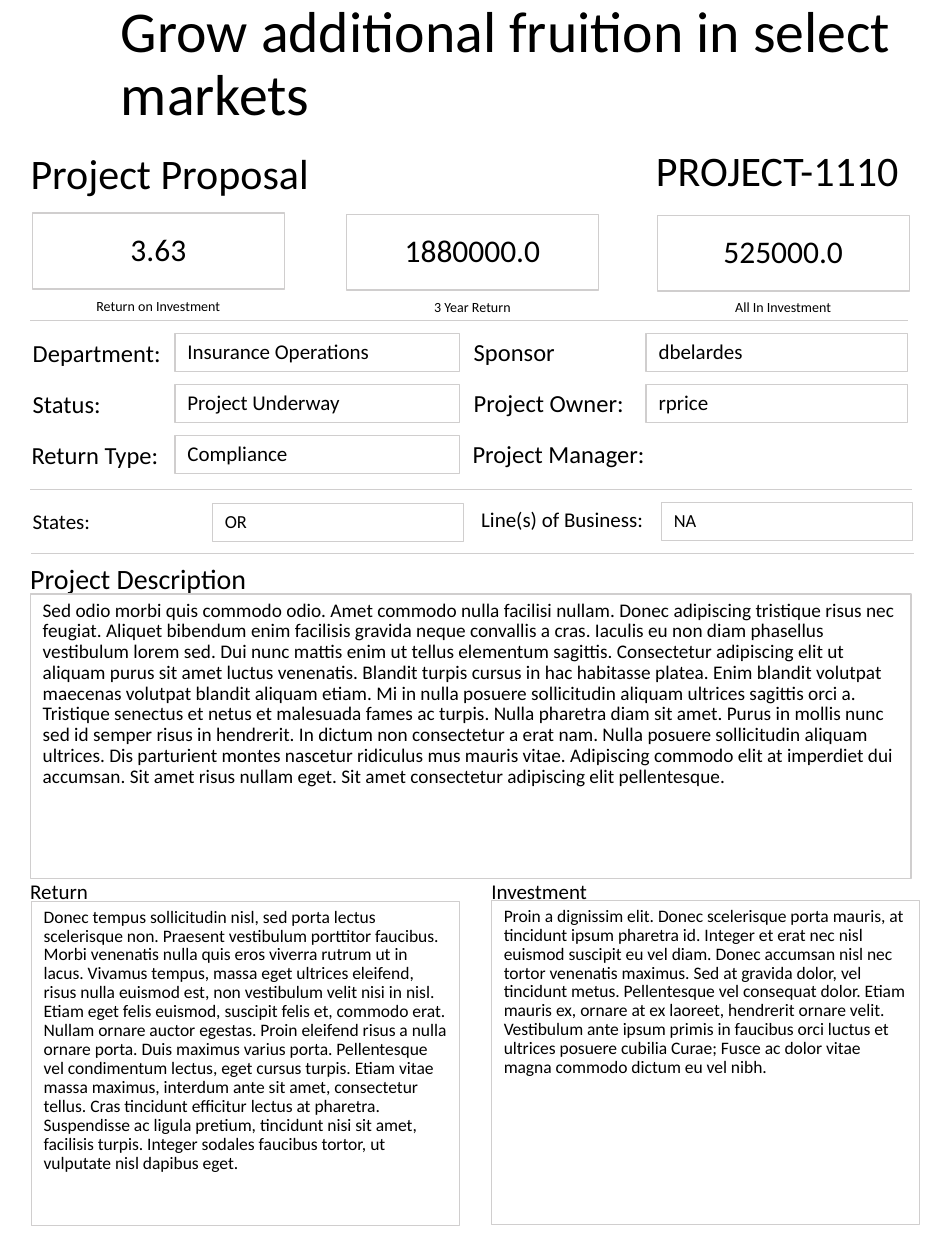
"""Build a one-page project proposal form."""
from dataclasses import dataclass

import lxml.etree
import pptx
import pptx.dml.color
import pptx.enum.shapes
import pptx.enum.text
import pptx.oxml.ns
import pptx.slide
import pptx.text.text
import pptx.util

Pt = pptx.util.Pt
Align = pptx.enum.text.PP_ALIGN
Anchor = pptx.enum.text.MSO_ANCHOR
BLACK = pptx.dml.color.RGBColor(0, 0, 0)
BORDER = pptx.dml.color.RGBColor(0xD0, 0xCE, 0xCE)
FONT = "Calibri"
INSET_X, INSET_Y = 7.2, 3.6

DESCRIPTION = [
    "Sed odio morbi quis commodo odio. Amet commodo nulla facilisi nullam. Donec adipiscing",
    "tristique risus nec feugiat. Aliquet bibendum enim facilisis gravida neque convallis a cras.",
    "Iaculis eu non diam phasellus vestibulum lorem sed. Dui nunc mattis enim ut tellus elementum",
    "sagittis. Consectetur adipiscing elit ut aliquam purus sit amet luctus venenatis. Blandit",
    "turpis cursus in hac habitasse platea. Enim blandit volutpat maecenas volutpat blandit aliquam",
    "etiam. Mi in nulla posuere sollicitudin aliquam ultrices sagittis orci a. Tristique senectus et",
    "netus et malesuada fames ac turpis. Nulla pharetra diam sit amet. Purus in mollis nunc sed id",
    "semper risus in hendrerit. In dictum non consectetur a erat nam. Nulla posuere sollicitudin",
    "aliquam ultrices. Dis parturient montes nascetur ridiculus mus mauris vitae. Adipiscing commodo",
    "elit at imperdiet dui accumsan. Sit amet risus nullam eget. Sit amet consectetur adipiscing",
    "elit pellentesque.",
]
RETURN = [
    "Donec tempus sollicitudin nisl, sed porta lectus scelerisque non. Praesent vestibulum porttitor",
    "faucibus. Morbi venenatis nulla quis eros viverra rutrum ut in lacus. Vivamus tempus, massa eget",
    "ultrices eleifend, risus nulla euismod est, non vestibulum velit nisi in nisl. Etiam eget felis",
    "euismod, suscipit felis et, commodo erat. Nullam ornare auctor egestas. Proin eleifend risus a",
    "nulla ornare porta. Duis maximus varius porta. Pellentesque vel condimentum lectus, eget cursus",
    "turpis. Etiam vitae massa maximus, interdum ante sit amet, consectetur tellus. Cras tincidunt",
    "efficitur lectus at pharetra. Suspendisse ac ligula pretium, tincidunt nisi sit amet, facilisis",
    "turpis. Integer sodales faucibus tortor, ut vulputate nisl dapibus eget.",
]
INVESTMENT = [
    "Proin a dignissim elit. Donec scelerisque porta mauris, at tincidunt ipsum pharetra id. Integer",
    "et erat nec nisl euismod suscipit eu vel diam. Donec accumsan nisl nec tortor venenatis maximus.",
    "Sed at gravida dolor, vel tincidunt metus. Pellentesque vel consequat dolor. Etiam mauris ex,",
    "ornare at ex laoreet, hendrerit ornare velit. Vestibulum ante ipsum primis in faucibus orci",
    "luctus et ultrices posuere cubilia Curae; Fusce ac dolor vitae magna commodo dictum eu vel nibh.",
]


@dataclass(frozen=True)
class Block:
    """A piece of text with its place and style, in points."""

    text: str
    left: float
    top: float
    width: float
    height: float
    size: float
    align: Align = Align.LEFT
    anchor: Anchor = Anchor.TOP
    wrap: bool = False
    inset: bool = False
    spacing: float = 1.0


def write_text(frame: pptx.text.text.TextFrame, block: Block) -> None:
    """Fill a text frame and style it."""
    frame.text = block.text
    frame.word_wrap = block.wrap
    frame.vertical_anchor = block.anchor
    frame.margin_left = frame.margin_right = Pt(INSET_X if block.inset else 0)
    frame.margin_top = frame.margin_bottom = Pt(INSET_Y if block.inset else 0)
    para = frame.paragraphs[0]
    para.alignment = block.align
    para.line_spacing = block.spacing
    for span in para.runs:
        span.font.name = FONT
        span.font.size = Pt(block.size)
        span.font.color.rgb = BLACK


def add_label(page: pptx.slide.Slide, block: Block) -> None:
    """Add plain text without a border."""
    box = page.shapes.add_textbox(Pt(block.left), Pt(block.top), Pt(block.width), Pt(block.height))
    write_text(box.text_frame, block)


def add_field(page: pptx.slide.Slide, block: Block) -> None:
    """Add a bordered box holding a value."""
    box = page.shapes.add_shape(
        pptx.enum.shapes.MSO_SHAPE.RECTANGLE,
        Pt(block.left), Pt(block.top), Pt(block.width), Pt(block.height),
    )
    box.shadow.inherit = False
    box.fill.background()
    box.line.color.rgb = BORDER
    box.line.width = Pt(0.75)
    write_text(box.text_frame, block)


def add_rule(page: pptx.slide.Slide, left: float, right: float, top: float) -> None:
    """Add a thin horizontal divider."""
    rule = page.shapes.add_connector(
        pptx.enum.shapes.MSO_CONNECTOR.STRAIGHT, Pt(left), Pt(top), Pt(right), Pt(top)
    )
    rule.line.color.rgb = BORDER
    rule.line.width = Pt(0.5)
    lxml.etree.SubElement(rule.element.spPr, pptx.oxml.ns.qn("a:effectLst"))


def value(text: str, left: float, top: float, width: float, height: float, size: float,
          align: Align = Align.LEFT) -> Block:
    """Describe a vertically centred field value."""
    return Block(text, left, top, width, height, size, align, Anchor.MIDDLE, True, True, 0.9)


def prose(lines: list[str], left: float, top: float, width: float, height: float,
          size: float) -> Block:
    """Describe a field of running text."""
    return Block(" ".join(lines), left, top, width, height, size, wrap=True, inset=True, spacing=0.9)


METRICS = [
    ("3.63", "Return on Investment", 18.5, 121.7, 166.3),
    ("1880000.0", "3 Year Return", 198, 122.4, 167.2),
    ("525000.0", "All In Investment", 375.6, 123, 167),
]
ROW_TOP, ROW_STEP, ROW_HEIGHT = 190.6, 29.2, 21.8
LEFT_ROWS = [("Department:", "Insurance Operations", 18.7), ("Status:", "Project Underway", 18.7),
             ("Return Type:", "Compliance", 18)]
RIGHT_ROWS = [("Sponsor", "dbelardes", 270.7), ("Project Owner:", "rprice", 270.7),
              ("Project Manager:", "", 270)]

labels = [
    Block("Grow additional fruition in select markets", 69.1, 19.4, 450, 36, 33,
          anchor=Anchor.MIDDLE, wrap=True, spacing=0.9),
    Block("Project Proposal", 17.5, 84.2, 244.8, 28.8, 24),
    Block("PROJECT-1110", 277.9, 84.2, 242.6, 28.8, 24, Align.RIGHT, Anchor.MIDDLE, True, True, 0.9),
    Block("States:", 18.7, 290.9, 33.1, 14.4, 12),
    Block("Line(s) of Business:", 275, 289.4, 93.6, 14.4, 12),
    Block("Project Description", 17.3, 321.1, 244.8, 18, 16),
    Block("Return", 17.3, 501.8, 244.8, 13, 12),
    Block("Investment", 280.8, 501.8, 244.8, 13, 12),
]
fields = [
    value("OR", 121.4, 287.6, 143.3, 21.8, 10.5),
    value("NA", 378, 287, 143.3, 21.8, 10.5),
    prose(DESCRIPTION, 17.3, 339.5, 503.3, 162.5, 11),
    prose(RETURN, 17.9, 515.3, 244.8, 185, 10),
    prose(INVESTMENT, 280.8, 514.8, 244.8, 185, 10),
]
for figure, caption, left, top, caption_top in METRICS:
    fields.append(value(figure, left, top, 144, 43.4, 18, Align.CENTER))
    labels.append(Block(caption, left, caption_top, 144, 14.4, 8, Align.CENTER, inset=True))
for rows, field_left, field_width, label_drop in (
    (LEFT_ROWS, 100, 162.4, 2.6), (RIGHT_ROWS, 369.2, 149.3, 2)
):
    for index, (name, entry, label_left) in enumerate(rows):
        row_top = ROW_TOP + index * ROW_STEP
        labels.append(Block(name, label_left, row_top + label_drop, 99, 17, 14))
        if entry:
            fields.append(value(entry, field_left, row_top, field_width, ROW_HEIGHT, 12))

deck = pptx.Presentation()
deck.slide_width, deck.slide_height = Pt(540), Pt(720)
page = deck.slides.add_slide(deck.slide_layouts[6])
for rule_left, rule_right, rule_top in ((17.3, 518.6, 183), (17.3, 521.3, 279.5), (17.8, 522, 316.2)):
    add_rule(page, rule_left, rule_right, rule_top)
for label in labels:
    add_label(page, label)
for field in fields:
    add_field(page, field)
deck.save("out.pptx")
